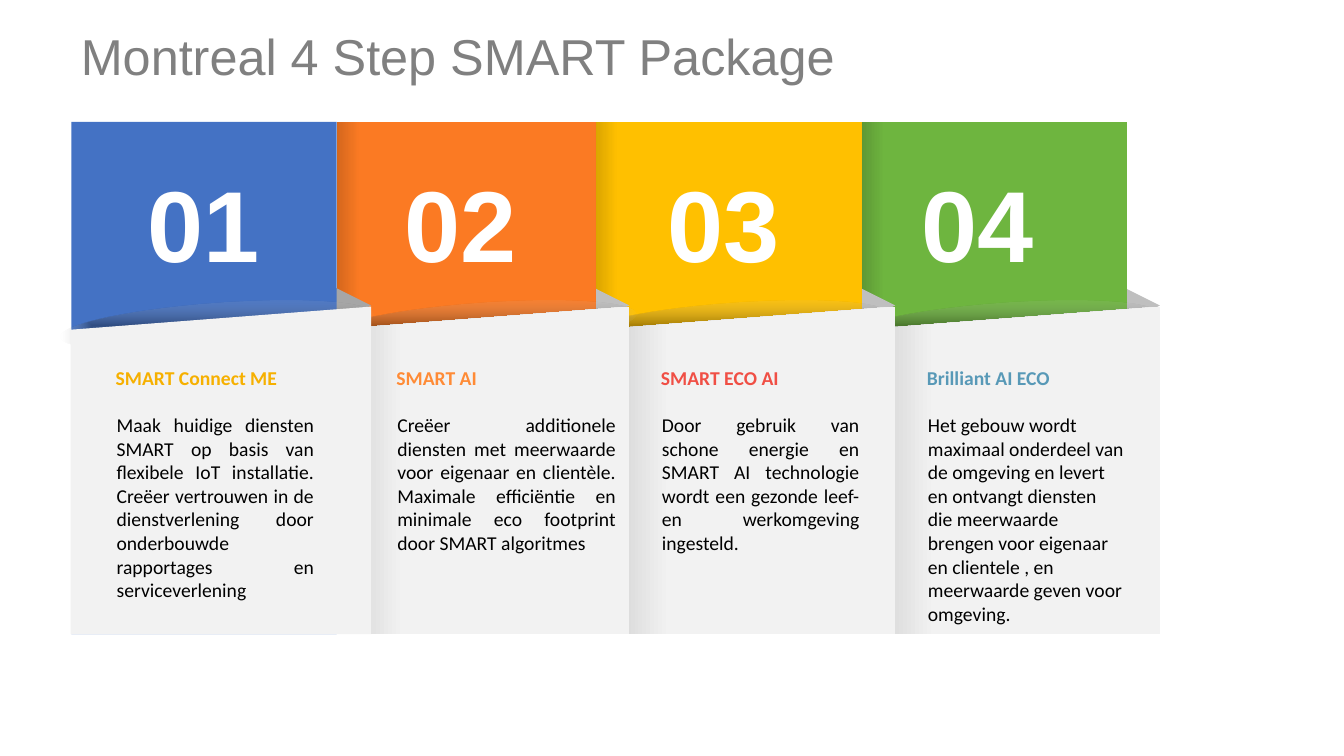
from dataclasses import dataclass

from lxml import etree
from pptx import Presentation
from pptx.dml.color import RGBColor
from pptx.enum.shapes import MSO_SHAPE
from pptx.enum.text import MSO_ANCHOR, MSO_AUTO_SIZE, PP_ALIGN
from pptx.oxml.ns import qn
from pptx.util import Pt

RECTANGLE, OVAL, TRIANGLE = MSO_SHAPE.RECTANGLE, MSO_SHAPE.OVAL, MSO_SHAPE.ISOSCELES_TRIANGLE
LEFT, JUSTIFY = PP_ALIGN.LEFT, PP_ALIGN.JUSTIFY
TOP, NO_AUTOFIT = MSO_ANCHOR.TOP, MSO_AUTO_SIZE.NONE


@dataclass(frozen=True)
class Theme:
    heading_font: str = "Arial"
    body_font: str = "Calibri"
    title_size: float = 36
    number_size: float = 72
    text_size: float = 14
    title: str = "808080"
    number: str = "FFFFFF"
    body: str = "000000"
    shade: str = "0D0D0D"
    shade_edge: str = "FFFFFF"
    fold: str = "F2F2F2"
    fold_dark: str = "CCCCCC"


@dataclass(frozen=True)
class Step:
    number: str
    heading: str
    body: str
    align: PP_ALIGN
    color: str
    edge: str
    heading_color: str
    corner: str
    fold_edge: str
    banner_left: float
    banner_width: float
    fold_left: float
    shade_left: float
    number_left: float
    text_left: float
    text_width: float


THEME = Theme()
BANNER_TOP, BOTTOM = 87, 453
FOLD_WIDTH, FOLD_TOP, FOLD_LOW = 214.5, 219, 235.5
CORNER_SIZE, CORNER_TOP = 28.8, 203.8

STEPS = [
    Step("01", "SMART Connect ME",
         "Maak huidige diensten SMART op basis van flexibele IoT installatie. Creëer vertrouwen "
         "in de dienstverlening door onderbouwde rapportages en serviceverlening",
         JUSTIFY, "4472C4", "4472C4", "F6B000", "A6A6A6", THEME.fold,
         51, 189.5, 50.5, 43, 98.5, 75.5, 156),
    Step("02", "SMART AI",
         "Creëer additionele diensten met meerwaarde voor eigenaar en clientèle. Maximale "
         "efficiëntie en minimale eco footprint door SMART algoritmes",
         JUSTIFY, "FB7A23", "D4671D", "FF8B36", "BFBFBF", THEME.fold_dark,
         240.5, 185, 235, 231, 281.5, 276, 171),
    Step("03", "SMART ECO AI",
         "Door gebruik van schone energie en SMART AI technologie wordt een gezonde leef- en "
         "werkomgeving ingesteld.",
         JUSTIFY, "FFC000", "D7A200", "F04F45", "BFBFBF", THEME.fold_dark,
         424, 191.5, 425, 411, 470, 465, 156),
    Step("04", "Brilliant AI ECO",
         "Het gebouw wordt maximaal onderdeel van de omgeving en levert en ontvangt diensten die "
         "meerwaarde brengen voor eigenaar en clientele , en meerwaarde geven voor omgeving.",
         LEFT, "6EB53F", "5D9835", "5899B7", "BFBFBF", THEME.fold_dark,
         615, 190, 614, 604, 651, 655, 156),
]


def set_font(p, name, size, color, bold=False):
    p.font.name = name
    p.font.size = Pt(size)
    p.font.bold = bold
    p.font.color.rgb = RGBColor.from_string(color)


def fill_plain(sp, color):
    sp.shadow.inherit = False
    sp.line.fill.background()
    sp.fill.solid()
    sp.fill.fore_color.rgb = RGBColor.from_string(color)


def fill_gradient(sp, stops, radial=False):
    """Fill with stops of (percent, color, opacity percent)."""
    fill_plain(sp, stops[0][1])
    grad = etree.Element(qn("a:gradFill"), rotWithShape="1")
    stop_list = etree.SubElement(grad, qn("a:gsLst"))
    for position, color, opacity in stops:
        stop = etree.SubElement(stop_list, qn("a:gs"), pos=str(position * 1000))
        rgb = etree.SubElement(stop, qn("a:srgbClr"), val=color)
        if opacity < 100:
            etree.SubElement(rgb, qn("a:alpha"), val=str(opacity * 1000))
    if radial:
        center = etree.SubElement(grad, qn("a:path"), path="shape")
        etree.SubElement(center, qn("a:fillToRect"), l="50000", t="50000", r="50000", b="50000")
    else:
        etree.SubElement(grad, qn("a:lin"), ang="0", scaled="0")
    solid = sp.element.spPr.find(qn("a:solidFill"))
    solid.getparent().replace(solid, grad)


def fill_edge_shaded(sp, edge, color, reach):
    if edge == color:
        fill_plain(sp, color)
    else:
        fill_gradient(sp, [(0, edge, 100), (reach, color, 100)])


def add_preset(shapes, kind, left, top, width, height, rotation=0):
    sp = shapes.add_shape(kind, Pt(left), Pt(top), Pt(width), Pt(height))
    sp.rotation = rotation
    return sp


def add_fold(shapes, left):
    right = left + FOLD_WIDTH
    builder = shapes.build_freeform(Pt(left), Pt(FOLD_LOW))
    corners = [(right, FOLD_TOP), (right, BOTTOM), (left, BOTTOM)]
    builder.add_line_segments([(Pt(x), Pt(y)) for x, y in corners], close=True)
    return builder.convert_to_shape()


def add_text_frame(shapes, left, top, width, height, wrap=True):
    tf = shapes.add_textbox(Pt(left), Pt(top), Pt(width), Pt(height)).text_frame
    tf.word_wrap = wrap
    return tf


def add_step(s, step):
    shapes = s.shapes.add_group_shape().shapes
    corner_left = step.fold_left + FOLD_WIDTH - CORNER_SIZE
    corner = add_preset(shapes, TRIANGLE, corner_left, CORNER_TOP, CORNER_SIZE, CORNER_SIZE, 90)
    fill_plain(corner, step.corner)

    banner = add_preset(shapes, RECTANGLE, step.banner_left, BANNER_TOP,
                        step.banner_width, BOTTOM - BANNER_TOP)
    fill_edge_shaded(banner, step.edge, step.color, 9)

    shade = add_preset(shapes, OVAL, step.shade_left, 216.7, 224, 31.7, 355.9)
    fill_gradient(shade, [(0, THEME.shade, 36), (100, THEME.shade_edge, 0)], radial=True)

    p = add_text_frame(shapes, step.number_left, 112.3, 95, 94.3, wrap=False).paragraphs[0]
    p.text = step.number
    set_font(p, THEME.heading_font, THEME.number_size, THEME.number, bold=True)

    fill_edge_shaded(add_fold(shapes, step.fold_left), step.fold_edge, THEME.fold, 25)

    tf = add_text_frame(shapes, step.text_left, 257.8, step.text_width, 192)
    heading = tf.paragraphs[0]
    heading.text = step.heading
    set_font(heading, THEME.body_font, THEME.text_size, step.heading_color, bold=True)
    body = tf.add_paragraph()
    body.text = step.body
    body.alignment = step.align
    body.space_before = Pt(17)
    body._p.get_or_add_pPr().set("marL", str(Pt(0.72)))
    set_font(body, THEME.body_font, THEME.text_size, THEME.body)


def add_title(s, text):
    sp = s.shapes.title
    sp.left, sp.top, sp.width, sp.height = Pt(50.5), Pt(19.5), Pt(666), Pt(69)
    tf = sp.text_frame
    tf.vertical_anchor = TOP
    tf.auto_size = NO_AUTOFIT
    p = tf.paragraphs[0]
    p.text = text
    p.alignment = LEFT
    p.line_spacing = 0.9
    set_font(p, THEME.heading_font, THEME.title_size, THEME.title)


def main():
    prs = Presentation()
    prs.slide_width, prs.slide_height = Pt(960), Pt(540)
    s = prs.slides.add_slide(prs.slide_layouts[5])
    add_title(s, "Montreal 4 Step SMART Package")
    for step in reversed(STEPS):
        add_step(s, step)
    prs.save("out.pptx")


if __name__ == "__main__":
    main()
